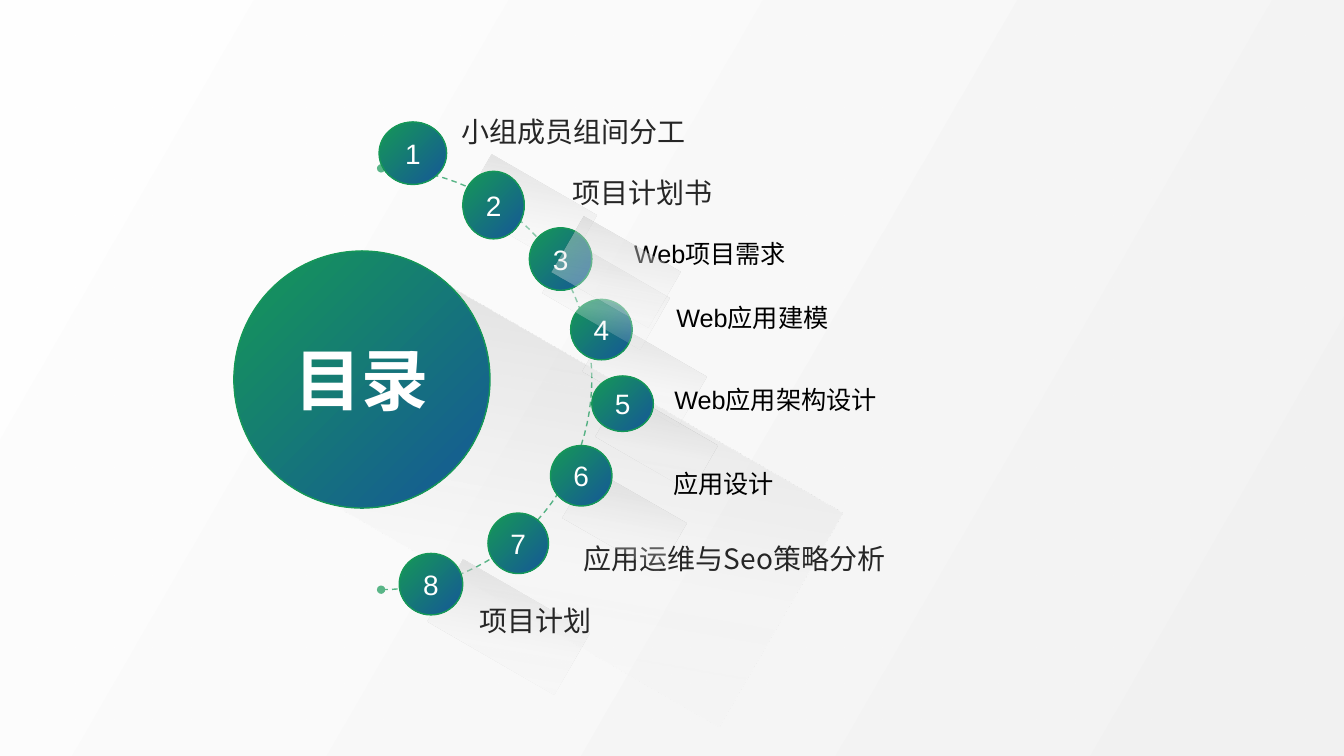
import math

import lxml.etree
import pptx
import pptx.dml.color
import pptx.enum.dml
import pptx.enum.shapes
import pptx.enum.text
import pptx.oxml.ns
import pptx.util

RGB = pptx.dml.color.RGBColor
WHITE = RGB(0xFF, 0xFF, 0xFF)
PALE = RGB(0xF2, 0xF2, 0xF2)
GREY = RGB(0xBF, 0xBF, 0xBF)
GREEN = RGB(0x15, 0x98, 0x57)
BLUE = RGB(0x15, 0x57, 0x98)
INK = RGB(0x26, 0x26, 0x26)
BLACK = RGB(0, 0, 0)

SANS = "Noto Sans CJK SC"
ARIAL = "Arial"
PX = 9144  # 100 px to the inch
WIDTH, HEIGHT = 1333, 750

# Gradients: (position %, colour, opacity %) stops, then the angle
BACKDROP = [(0, WHITE, 95), (100, PALE, 100)], 30
BALL = [(0, GREEN, 100), (100, BLUE, 100)], 45
SHADE = [(0, GREY, 50), (61, PALE, 34), (100, PALE, 0)], 70

LARGE = dict(size=20, font=SANS, color=INK)
SMALL = dict(size=18, font=ARIAL, color=BLACK)

# From back to front: number, ball box, shade box, label, label box, label format
CHAPTERS = [
    (1, (376, 121, 67, 62), (465, 179, 120, 60),
     "小组成员组间分工", (448, 109, 360, 44), LARGE),
    (8, (396, 549, 63, 61), (432, 587, 145, 71),
     "项目计划", (466, 594, 322, 44), LARGE),
    (4, (566, 297, 61, 60), (585, 343, 109, 57),
     "Web应用建模", (661, 295, 185, 40), SMALL),
    (3, (525, 226, 62, 62), (545, 264, 112, 59),
     "Web项目需求", (619, 232, 184, 40), SMALL),
    (2, (459, 170, 61, 67), (556, 238, 110, 64),
     "项目计划书", (558, 169, 323, 44), LARGE),
    (7, (484, 509, 60, 60), None,
     "应用运维与Seo策略分析", (569, 532, 372, 44), LARGE),
    (5, (587, 373, 61, 55), (597, 411, 109, 53),
     "Web应用架构设计", (659, 376, 229, 40), SMALL),
    (6, (546, 442, 61, 60), (565, 488, 109, 57),
     "应用设计", (658, 460, 121, 40), SMALL),
]


def a_child(parent, tag, **attributes):
    """Append a DrawingML element to parent."""
    return lxml.etree.SubElement(parent, pptx.oxml.ns.qn("a:" + tag), attributes)


def write(frame, text, *, size, font, color, bold=False, centred=False):
    paragraph = frame.paragraphs[0]
    if centred:
        paragraph.alignment = pptx.enum.text.PP_ALIGN.CENTER
    run = paragraph.add_run()
    run.text = text
    run.font.size = pptx.util.Pt(size)
    run.font.name = font
    run.font.bold = bold
    run.font.color.rgb = color
    a_child(run.font._element, "ea", typeface=SANS)


class AgendaSlide:
    def __init__(self, deck):
        self.shapes = deck.slides.add_slide(deck.slide_layouts[6]).shapes

    def gradient_shape(self, preset, box, gradient, outline=None, rotation=0):
        shape = self.shapes.add_shape(preset, *(v * PX for v in box))
        shape.shadow.inherit = False
        shape.rotation = rotation
        stops, angle = gradient
        shape.fill.gradient()
        fill = shape._element.spPr.find(pptx.oxml.ns.qn("a:gradFill"))
        for child in list(fill):
            fill.remove(child)
        stop_list = a_child(fill, "gsLst")
        for position, color, opacity in stops:
            stop = a_child(stop_list, "gs", pos=str(position * 1000))
            a_child(a_child(stop, "srgbClr", val=str(color)),
                    "alpha", val=str(opacity * 1000))
        a_child(fill, "lin", ang=str(angle * 60000), scaled="0")
        if outline is None:
            shape.line.fill.background()
        else:
            shape.line.color.rgb = outline
            shape.line.width = pptx.util.Pt(1)
        return shape

    def shade(self, box):
        self.gradient_shape(pptx.enum.shapes.MSO_SHAPE.RECTANGLE, box, SHADE,
                            rotation=30)

    def ball(self, box, number=None):
        ball = self.gradient_shape(pptx.enum.shapes.MSO_SHAPE.OVAL, box, BALL, GREEN)
        if number is not None:
            ball.text_frame.vertical_anchor = pptx.enum.text.MSO_ANCHOR.MIDDLE
            write(ball.text_frame, str(number), size=20, font=ARIAL,
                  color=WHITE, centred=True)

    def label(self, text, box, **style):
        frame = self.shapes.add_textbox(*(v * PX for v in box)).text_frame
        frame.word_wrap = True
        frame.auto_size = pptx.enum.text.MSO_AUTO_SIZE.SHAPE_TO_FIT_TEXT
        write(frame, text, **style)

    def orbit(self, x, y, radius, steps=60):
        """Draw a dashed right half circle with a dot at each end."""
        angles = [math.pi * (i / steps - 0.5) for i in range(steps + 1)]
        points = [(round((x + radius * math.cos(a)) * PX),
                   round((y + radius * math.sin(a)) * PX)) for a in angles]
        builder = self.shapes.build_freeform(*points[0])
        builder.add_line_segments(points[1:], close=False)
        arc = builder.convert_to_shape()
        arc.shadow.inherit = False
        arc.fill.background()
        arc.line.color.rgb = GREEN
        arc.line.width = pptx.util.Pt(1)
        arc.line.dash_style = pptx.enum.dml.MSO_LINE.DASH
        line = arc._element.spPr.find(pptx.oxml.ns.qn("a:ln"))
        a_child(line.find(".//" + pptx.oxml.ns.qn("a:srgbClr")), "alpha", val="70000")
        for end in ("headEnd", "tailEnd"):
            a_child(line, end, type="oval")


def main():
    deck = pptx.Presentation()
    deck.slide_width, deck.slide_height = WIDTH * PX, HEIGHT * PX
    agenda = AgendaSlide(deck)
    agenda.gradient_shape(pptx.enum.shapes.MSO_SHAPE.RECTANGLE,
                          (0, 0, WIDTH, HEIGHT), BACKDROP)
    agenda.shade((348, 378, 457, 245))
    agenda.ball((232, 249, 254, 255))
    agenda.label("目录", (274, 331, 170, 91), size=48, font=SANS, color=WHITE,
                 bold=True, centred=True)
    agenda.orbit(378, 376, 209)
    for number, ball_box, shade_box, title, title_box, style in CHAPTERS:
        if shade_box:
            agenda.shade(shade_box)
        agenda.ball(ball_box, number)
        agenda.label(title, title_box, **style)
    deck.save("out.pptx")


if __name__ == "__main__":
    main()
